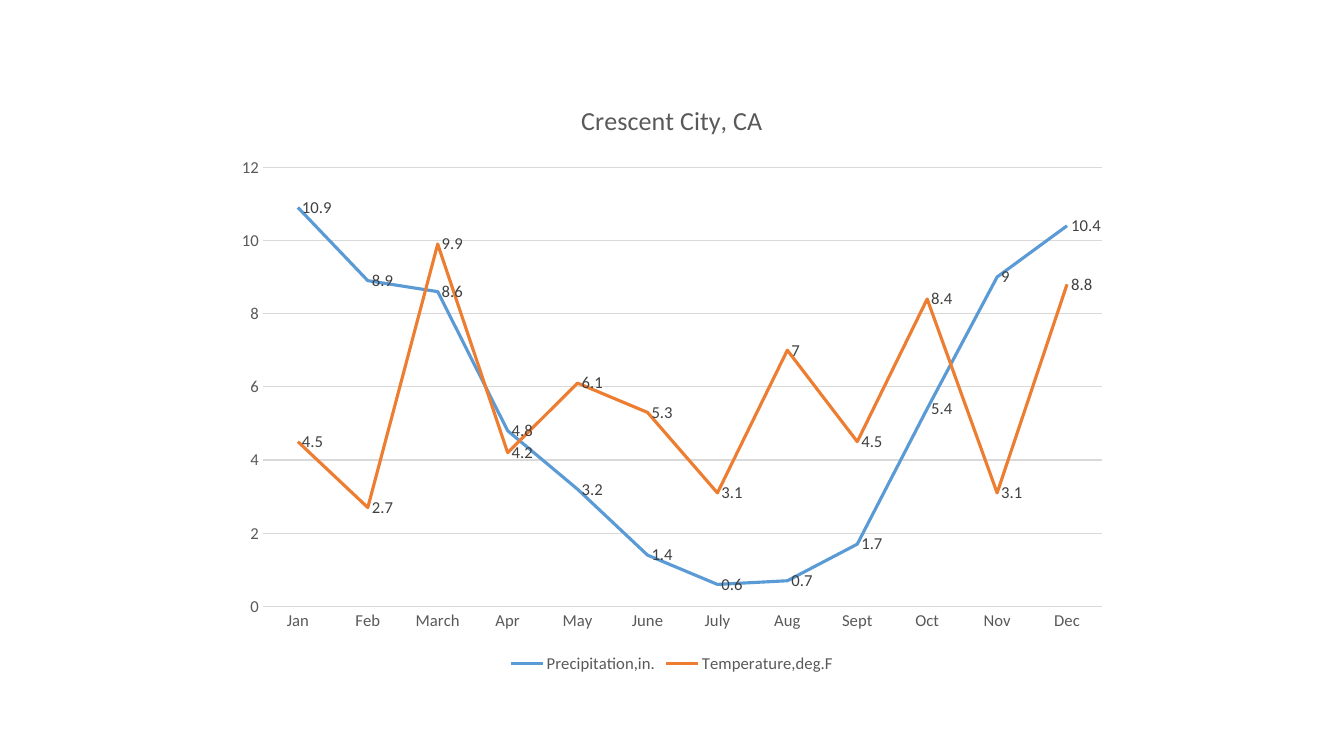
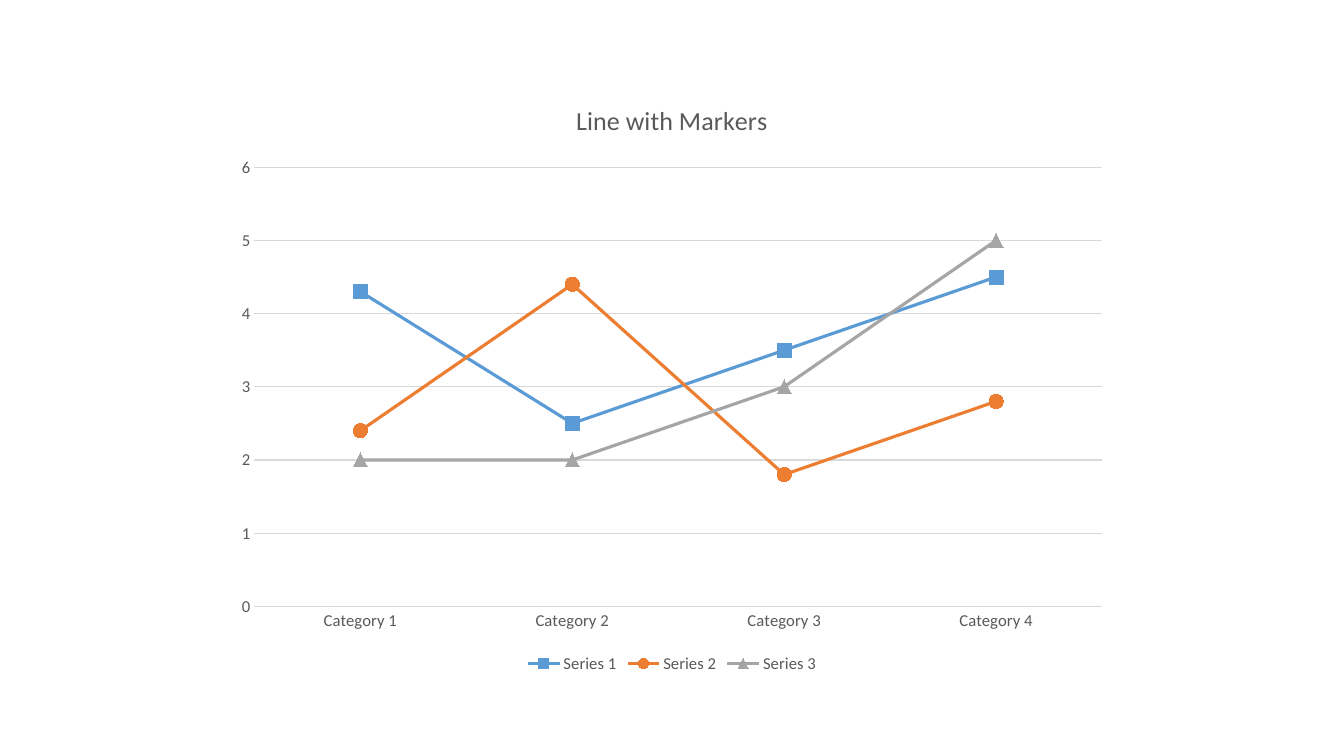
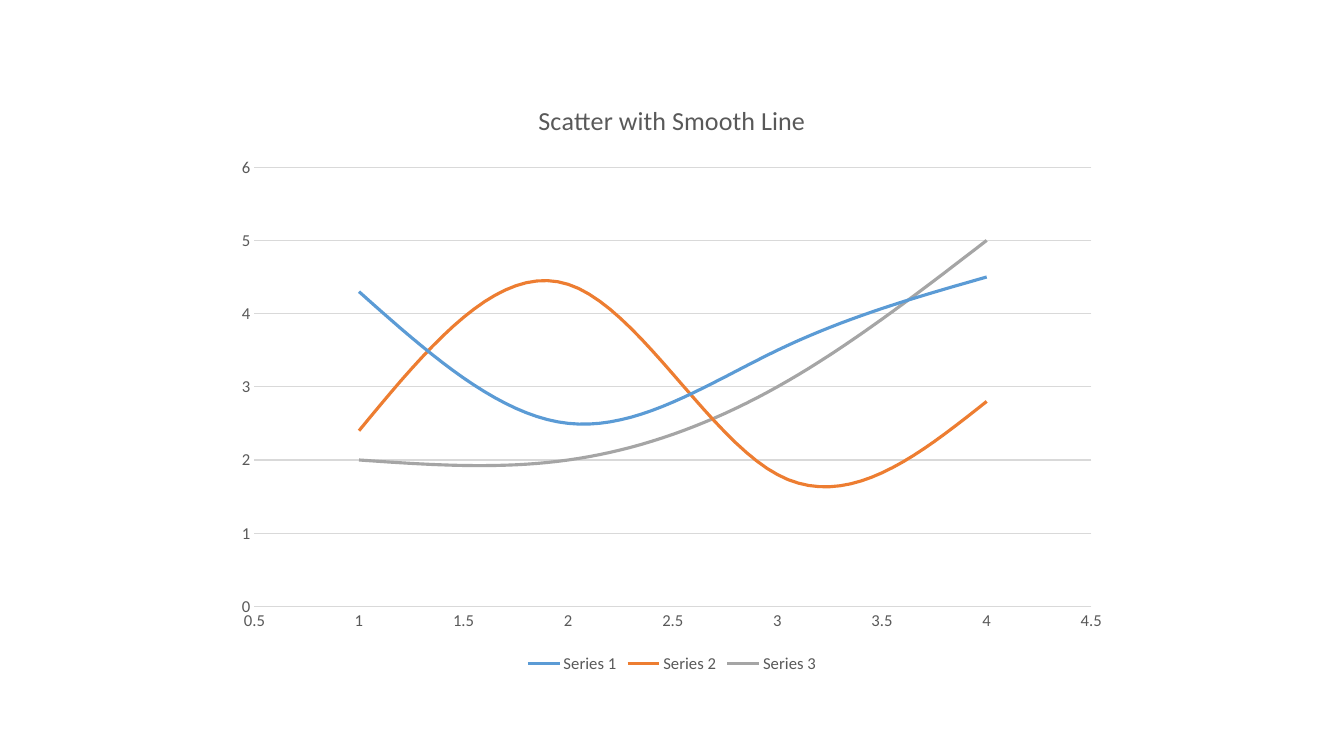
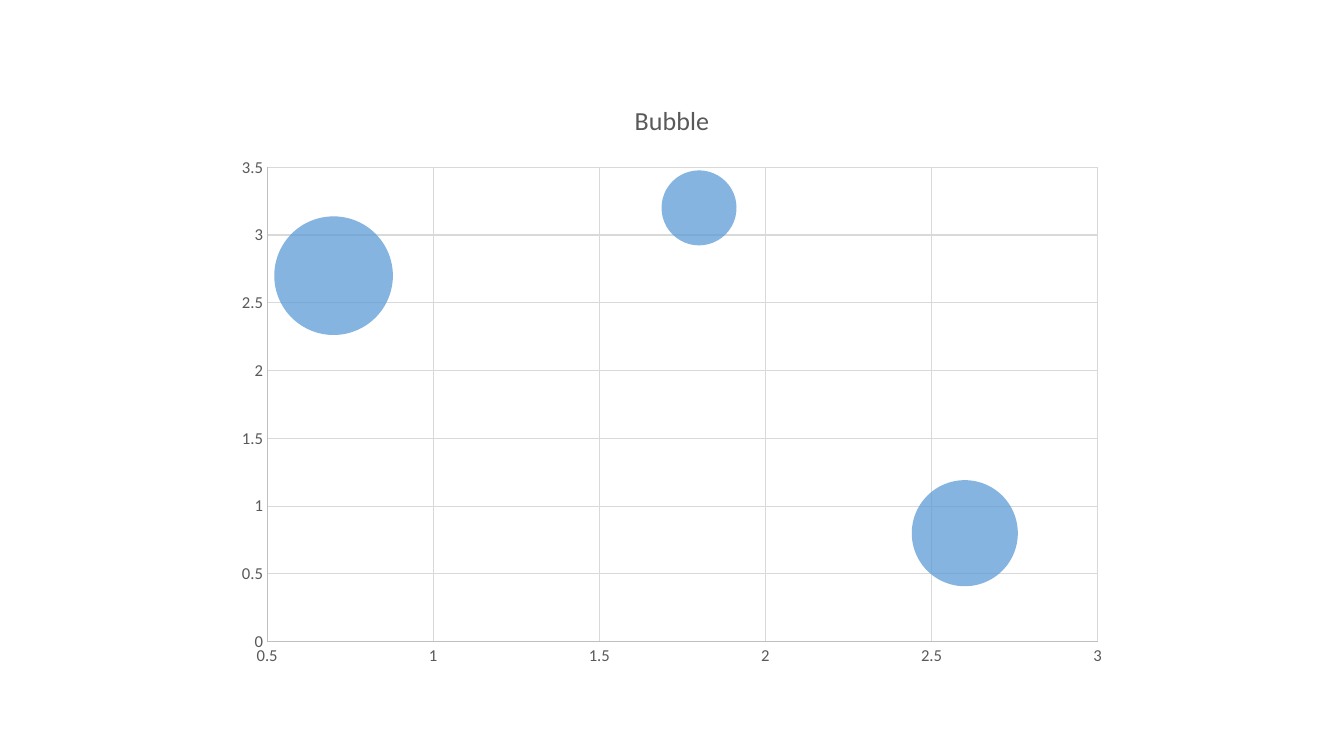
from pptx import Presentation
from pptx.chart.data import BubbleChartData, CategoryChartData, XyChartData
from pptx.dml.color import RGBColor
from pptx.enum.chart import (XL_CHART_TYPE, XL_LABEL_POSITION, XL_LEGEND_POSITION,
                             XL_MARKER_STYLE, XL_TICK_MARK)
from pptx.oxml.ns import qn
from pptx.util import Pt
from lxml.etree import SubElement

FONT = "Calibri"
TEXT, LABEL, GRID, AXIS = "595959", "404040", "D9D9D9", "BFBFBF"
ACCENTS = ["5B9BD5", "ED7D31", "A5A5A5"]
MARKERS = [XL_MARKER_STYLE.SQUARE, XL_MARKER_STYLE.CIRCLE, XL_MARKER_STYLE.TRIANGLE]
FRAME = [Pt(v) for v in (160, 57, 640, 427)]
TITLE_SIZE, TEXT_SIZE = 18.6, 11.9

MONTHS = ["Jan", "Feb", "March", "Apr", "May", "June",
          "July", "Aug", "Sept", "Oct", "Nov", "Dec"]
CLIMATE = {
    "Precipitation,in.": [10.9, 8.9, 8.6, 4.8, 3.2, 1.4, 0.6, 0.7, 1.7, 5.4, 9, 10.4],
    "Temperature,deg.F": [4.5, 2.7, 9.9, 4.2, 6.1, 5.3, 3.1, 7, 4.5, 8.4, 3.1, 8.8],
}
CATEGORIES = ["Category 1", "Category 2", "Category 3", "Category 4"]
SAMPLE = {
    "Series 1": [4.3, 2.5, 3.5, 4.5],
    "Series 2": [2.4, 4.4, 1.8, 2.8],
    "Series 3": [2, 2, 3, 5],
}
BUBBLES = [(0.7, 2.7, 10), (1.8, 3.2, 4), (2.6, 0.8, 8)]


def rgb(color):
    """Turn a hex string into a colour."""
    return RGBColor.from_string(color)


def style_font(font, size, color=TEXT):
    """Apply the shared typeface with a size and colour."""
    font.name, font.size, font.bold = FONT, Pt(size), False
    font.color.rgb = rgb(color)


def style_line(line, color, width=0.75):
    """Give a line its colour and width, or hide it."""
    if color is None:
        line.fill.background()
        return
    line.color.rgb = rgb(color)
    line.width = Pt(width)


def style_axis(axis, line, grid, scale):
    """Format an axis; scale is minimum, maximum and step, or None."""
    axis.major_tick_mark = axis.minor_tick_mark = XL_TICK_MARK.NONE
    axis.has_major_gridlines = grid
    if grid:
        style_line(axis.major_gridlines.format.line, GRID)
    style_line(axis.format.line, line)
    style_font(axis.tick_labels.font, TEXT_SIZE)
    if scale:
        axis.minimum_scale, axis.maximum_scale, axis.major_unit = scale


def add_chart(prs, kind, title, data, y_scale, x_scale=None,
              x_line=GRID, y_line=None, x_grid=False, legend=True):
    """Add a slide holding one titled chart and return the chart."""
    s = prs.slides.add_slide(prs.slide_layouts[6])
    chart = s.shapes.add_chart(kind, *FRAME, data).chart
    style_font(chart.font, 10, "000000")
    chart.has_title = True
    tf = chart.chart_title.text_frame
    tf.text = title
    style_font(tf.paragraphs[0].runs[0].font, TITLE_SIZE)
    style_axis(chart.category_axis, x_line, x_grid, x_scale)
    style_axis(chart.value_axis, y_line, True, y_scale)
    chart.has_legend = legend
    if legend:
        chart.legend.position = XL_LEGEND_POSITION.BOTTOM
        chart.legend.include_in_layout = False
        style_font(chart.legend.font, TEXT_SIZE)
    return chart


def style_series(chart, smooth=False):
    """Colour each line series in accent order."""
    chart.plots[0].vary_by_categories = False
    for ser, color in zip(chart.plots[0].series, ACCENTS):
        style_line(ser.format.line, color, 2.25)
        ser._element.get_or_add_smooth().val = smooth


def category_data(categories, series):
    """Build chart data from categories and named value lists."""
    data = CategoryChartData()
    data.categories = categories
    for name, values in series.items():
        data.add_series(name, values)
    return data


def add_climate(prs):
    """Add the labelled line chart."""
    chart = add_chart(prs, XL_CHART_TYPE.LINE, "Crescent City, CA",
                      category_data(MONTHS, CLIMATE), (0, 12, 2))
    style_series(chart)
    for ser in chart.plots[0].series:
        labels = ser.data_labels
        labels.show_value = True
        labels.position = XL_LABEL_POSITION.RIGHT
        style_font(labels.font, TEXT_SIZE, LABEL)


def add_markers(prs):
    """Add the line chart with markers."""
    chart = add_chart(prs, XL_CHART_TYPE.LINE_MARKERS, "Line with Markers",
                      category_data(CATEGORIES, SAMPLE), (0, 6, 1))
    style_series(chart)
    for ser, color, shape in zip(chart.plots[0].series, ACCENTS, MARKERS):
        marker = ser.marker
        marker.style, marker.size = shape, 10
        marker.format.fill.solid()
        marker.format.fill.fore_color.rgb = rgb(color)
        style_line(marker.format.line, color)


def add_scatter(prs):
    """Add the smooth scatter chart."""
    data = XyChartData()
    for name, values in SAMPLE.items():
        ser = data.add_series(name)
        for x, y in enumerate(values, 1):
            ser.add_data_point(x, y)
    chart = add_chart(prs, XL_CHART_TYPE.XY_SCATTER_SMOOTH_NO_MARKERS,
                      "Scatter with Smooth Line", data, (0, 6, 1), (0.5, 4.5, 0.5))
    style_series(chart, smooth=True)


def add_bubble(prs):
    """Add the translucent bubble chart."""
    data = BubbleChartData()
    ser = data.add_series("Series 1")
    for point in BUBBLES:
        ser.add_data_point(*point)
    chart = add_chart(prs, XL_CHART_TYPE.BUBBLE, "Bubble", data, (0, 3.5, 0.5),
                      (0.5, 3, 0.5), AXIS, AXIS, x_grid=True, legend=False)
    fmt = chart.plots[0].series[0].format
    fmt.fill.solid()
    fmt.fill.fore_color.rgb = rgb(ACCENTS[0])
    style_line(fmt.line, None)
    color = next(fmt._element.iter(qn("a:srgbClr")))
    SubElement(color, qn("a:alpha")).set("val", "75000")


def main():
    """Build the four chart slides."""
    prs = Presentation()
    prs.slide_width, prs.slide_height = Pt(960), Pt(540)
    for add in (add_climate, add_markers, add_scatter, add_bubble):
        add(prs)
    prs.save("out.pptx")


if __name__ == "__main__":
    main()
